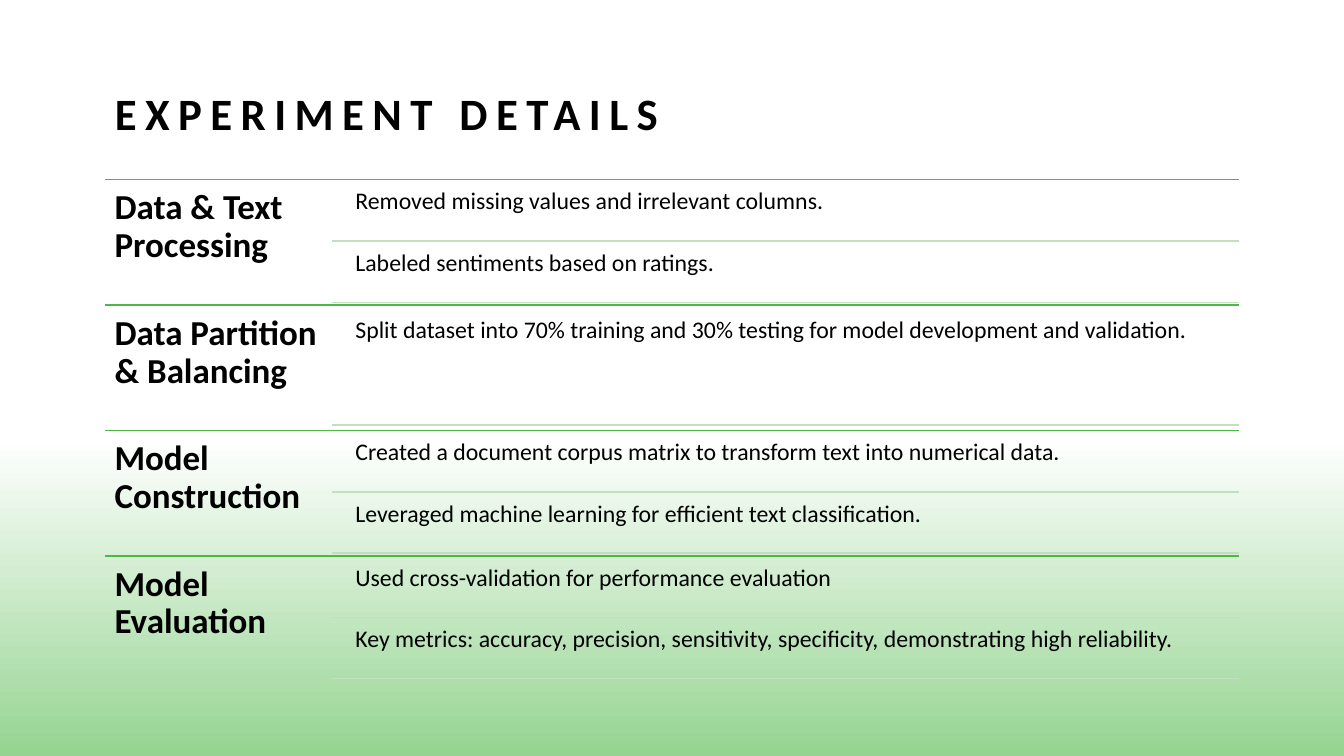
from lxml import etree
from pptx import Presentation
from pptx.dml.color import RGBColor
from pptx.enum import shapes, text
from pptx.oxml.ns import qn
from pptx.util import Cm, Pt

BLACK = RGBColor(0x00, 0x00, 0x00)
WHITE = RGBColor(0xFF, 0xFF, 0xFF)
GLOW_GREEN = RGBColor(0x95, 0xD4, 0x91)
STAGE_GREEN = RGBColor(0x4E, 0xB7, 0x48)
DETAIL_GREEN = RGBColor(0xC2, 0xDF, 0xC1)

STAGES = [
    ("Data & Text Processing",
     ["Removed missing values and irrelevant columns.",
      "Labeled sentiments based on ratings."]),
    ("Data Partition & Balancing",
     ["Split dataset into 70% training and 30% testing for model development and validation."]),
    ("Model Construction",
     ["Created a document corpus matrix to transform text into numerical data.",
      "Leveraged machine learning for efficient text classification."]),
    ("Model Evaluation",
     ["Used cross-validation for performance evaluation",
      "Key metrics: accuracy, precision, sensitivity, specificity, demonstrating high reliability."]),
]
GAP_SHARE = 0.05  # gap around a detail, as a share of its height


def format_text(frame, size, bold, line_spacing):
    frame.word_wrap = True
    paragraph = frame.paragraphs[0]
    paragraph.alignment = text.PP_ALIGN.LEFT
    paragraph.line_spacing = line_spacing
    font = paragraph.runs[0].font
    font.name = "Calibri"
    font.size = Pt(size)
    font.bold = bold
    font.color.rgb = BLACK


def add_label(slide, wording, left, top, width, height, size, bold, inset):
    label = slide.shapes.add_textbox(Cm(left), Cm(top), Cm(width), Cm(height))
    frame = label.text_frame
    frame.margin_left = frame.margin_right = Cm(inset)
    frame.margin_top = frame.margin_bottom = Cm(inset)
    frame.text = wording
    format_text(frame, size, bold, 0.9)


def add_rule(slide, left, right, y, color):
    rule = slide.shapes.add_connector(
        shapes.MSO_CONNECTOR.STRAIGHT, Cm(left), Cm(y), Cm(right), Cm(y))
    rule.line.color.rgb = color
    rule.line.width = Pt(1)
    etree.SubElement(rule._element.spPr, qn("a:effectLst"))


def add_glow(slide, left, top, width, height):
    glow = slide.shapes.add_shape(
        shapes.MSO_SHAPE.RECTANGLE, Cm(left), Cm(top), Cm(width), Cm(height))
    glow.shadow.inherit = False
    glow.line.fill.background()
    glow.fill.gradient()
    glow.fill.gradient_angle = 270
    for stop, color, position in zip(
            glow.fill.gradient_stops, (WHITE, GLOW_GREEN), (0.14, 1)):
        stop.color.rgb = color
        stop.position = position


def place_title(slide, left, top, width, height):
    title = slide.shapes.title
    title.left, title.top = Cm(left), Cm(top)
    title.width, title.height = Cm(width), Cm(height)
    frame = title.text_frame
    frame.text = "EXPERIMENT DETAILS"
    frame.vertical_anchor = text.MSO_ANCHOR.BOTTOM
    format_text(frame, 32, True, 1.2)
    # Wide letter spacing, in hundredths of a point
    frame.paragraphs[0].runs[0].font._element.set("spc", "600")


def add_stage(slide, stage, details, left, top, width, height):
    right = left + width
    stage_width = width * 0.2
    detail_left = left + stage_width
    detail_indent = 0.43

    # Stage name under its full-width rule
    add_rule(slide, left, right, top, STAGE_GREEN)
    add_label(slide, stage, left, top, stage_width, height, 25, True, 0.25)

    # Details, each closed by a pale rule
    count = len(details)
    detail_height = height / (count + GAP_SHARE * (count + 1))
    pitch = detail_height * (1 + GAP_SHARE)
    for index, detail in enumerate(details):
        detail_top = top + detail_height * GAP_SHARE + index * pitch
        add_label(slide, detail, detail_left + detail_indent, detail_top,
                  width - stage_width - detail_indent, detail_height, 17, False, 0.17)
        add_rule(slide, detail_left, right, detail_top + detail_height, DETAIL_GREEN)


def add_stages(slide, left, top, width, height):
    stage_height = height / len(STAGES)
    for index, (stage, details) in enumerate(STAGES):
        add_stage(slide, stage, details, left, top + index * stage_height,
                  width, stage_height)


def main():
    prs = Presentation()
    prs.slide_width, prs.slide_height = Cm(33.87), Cm(19.05)
    slide = prs.slides.add_slide(prs.slide_layouts[5])
    add_glow(slide, 0, 9.75, 33.87, 9.3)
    place_title(slide, 2.64, 1.88, 28.58, 1.75)
    add_stages(slide, 2.64, 4.53, 28.58, 12.64)
    prs.save("out.pptx")


if __name__ == "__main__":
    main()
